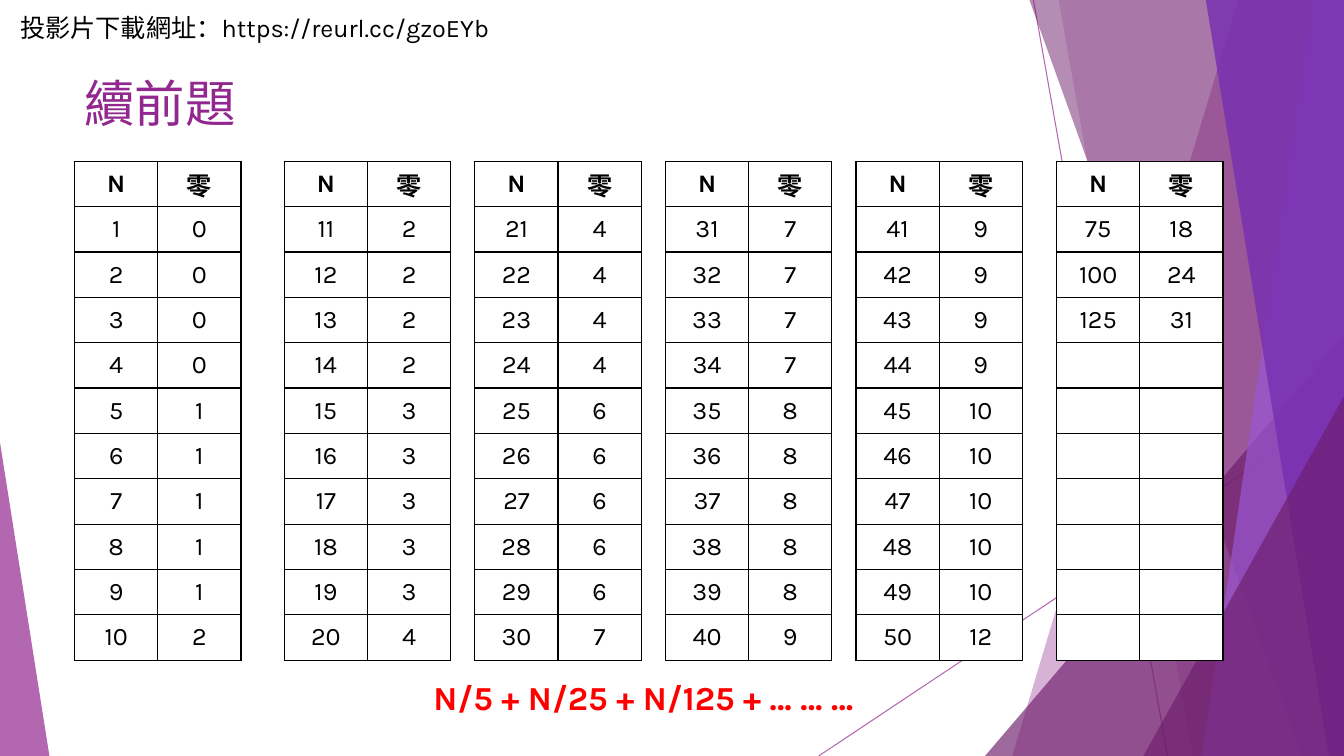
from pptx import Presentation
from pptx.dml.color import RGBColor
from pptx.enum.shapes import MSO_CONNECTOR, MSO_SHAPE
from pptx.enum.text import MSO_ANCHOR, PP_ALIGN
from pptx.oxml import parse_xml
from pptx.oxml.ns import nsdecls, qn
from pptx.oxml.xmlchemy import OxmlElement
from pptx.util import Inches, Pt

WIDTH, HEIGHT = 13.33, 7.5
FONT = "Karla"
PURPLE, PLUM, VIOLET, INDIGO = "92278F", "6D1D6B", "9B57D3", "762EB1"
BLACK, WHITE, RED = "000000", "FFFFFF", "FF0000"

HEADER = ("N", "零")
TABLES = [
    (0.74, range(1, 11)),
    (2.82, range(11, 21)),
    (4.71, range(21, 31)),
    (6.60, range(31, 41)),
    (8.49, range(41, 51)),
    (10.48, (75, 100, 125)),
]
TABLE_TOP, ROW_COUNT, ROW_HEIGHT, COLUMN_WIDTH = 1.6, 11, 0.45, 0.825

TEXTS = [
    ("投影片下載網址：https://reurl.cc/gzoEYb", (0.1, 0.07, 4.98, 0.4), 18, BLACK, False, False),
    ("續前題", (0.74, 0.67, 9.4, 1.44), 36, PURPLE, False, True),
    ("N/5 + N/25 + N/125 + … … …", (4.2, 6.67, 4.61, 0.5), 24, RED, True, False),
]

RAYS = [((10.25, 0), (11.58, HEIGHT)), ((WIDTH, 4.03), (8.12, HEIGHT))]
FACETS = [
    ("band", (12.28, 10.04), PURPLE, 36),
    ("band", (10.5, 11.83), PURPLE, 20),
    ("triangle", (9.77, 3.33, 3.56, 1), PLUM, 66),
    ("band", (10.21, 12.91), PLUM, 50),
    ("band", (13.03, 11.92), VIOLET, 70),
    ("band", (11.96, 13.18), INDIGO, 80),
    ("triangle", (11.34, 3.93, 1.99, 1), PLUM, 66),
    ("triangle", (0, 4.39, 0.49, 0), PURPLE, 70),
]


def color(value):
    return RGBColor.from_string(value)


def set_alpha(element, percent):
    alpha = OxmlElement("a:alpha")
    alpha.set("val", str(percent * 1000))
    next(element.iter(qn("a:srgbClr"))).append(alpha)


def style(paragraph, size, shade, bold):
    for span in paragraph.runs:
        span.font.name = FONT
        span.font.size = Pt(size)
        span.font.bold = bold
        span.font.color.rgb = color(shade)


def add_ray(page, start, end):
    ray = page.shapes.add_connector(
        MSO_CONNECTOR.STRAIGHT, *(Inches(value) for value in start + end))
    ray.line.color.rgb = color(PURPLE)
    ray.line.width = Pt(0.75)
    properties = ray._element.spPr
    set_alpha(properties, 70)
    properties.append(OxmlElement("a:effectLst"))


def add_facet(page, kind, geometry, shade, opacity):
    if kind == "band":
        top_x, bottom_x = geometry
        builder = page.shapes.build_freeform(Inches(top_x), 0)
        corners = [(WIDTH, 0), (WIDTH, HEIGHT), (bottom_x, HEIGHT)]
        builder.add_line_segments([(Inches(x), Inches(y)) for x, y in corners], close=True)
        facet = builder.convert_to_shape()
    else:
        left, top, width, apex = geometry
        facet = page.shapes.add_shape(
            MSO_SHAPE.ISOSCELES_TRIANGLE,
            Inches(left), Inches(top), Inches(width), Inches(HEIGHT - top))
        facet.adjustments[0] = apex
    facet.shadow.inherit = False
    facet.line.fill.background()
    facet.fill.solid()
    facet.fill.fore_color.rgb = color(shade)
    set_alpha(facet._element.spPr, opacity)


def add_text(page, text, place, size, shade, bold, wrap):
    box = page.shapes.add_textbox(*(Inches(value) for value in place))
    box.text_frame.word_wrap = wrap
    para = box.text_frame.paragraphs[0]
    para.text = text
    style(para, size, shade, bold)


def fill_cell(cell, text, bold):
    properties = cell._tc.get_or_add_tcPr()
    for side in ("lnL", "lnR", "lnT", "lnB"):
        properties.append(parse_xml(
            f'<a:{side} {nsdecls("a")} w="{Pt(1)}"><a:solidFill>'
            f'<a:srgbClr val="{BLACK}"/></a:solidFill></a:{side}>'))
    cell.fill.solid()
    cell.fill.fore_color.rgb = color(WHITE)
    cell.vertical_anchor = MSO_ANCHOR.MIDDLE
    para = cell.text_frame.paragraphs[0]
    para.alignment = PP_ALIGN.CENTER
    if text:
        para.text = text
        style(para, 18, BLACK, bold)


def trailing_zeros(number):
    return sum(number // power for power in (5, 25, 125))


def add_zero_table(page, left, numbers):
    frame = page.shapes.add_table(
        ROW_COUNT, len(HEADER), Inches(left), Inches(TABLE_TOP),
        Inches(COLUMN_WIDTH * len(HEADER)), Inches(ROW_HEIGHT * ROW_COUNT))
    rows = [HEADER] + [(str(n), str(trailing_zeros(n))) for n in numbers]
    rows += [("", "")] * (ROW_COUNT - len(rows))
    for row_index, row in enumerate(rows):
        for column_index, text in enumerate(row):
            fill_cell(frame.table.cell(row_index, column_index), text, row_index == 0)


def main():
    """Build the slide of trailing-zero counts for N factorial."""
    deck = Presentation()
    deck.slide_width, deck.slide_height = Inches(WIDTH), Inches(HEIGHT)
    page = deck.slides.add_slide(deck.slide_layouts[6])
    for start, end in RAYS:
        add_ray(page, start, end)
    for facet in FACETS:
        add_facet(page, *facet)
    for text in TEXTS:
        add_text(page, *text)
    for left, numbers in TABLES:
        add_zero_table(page, left, numbers)
    deck.save("out.pptx")


if __name__ == "__main__":
    main()
